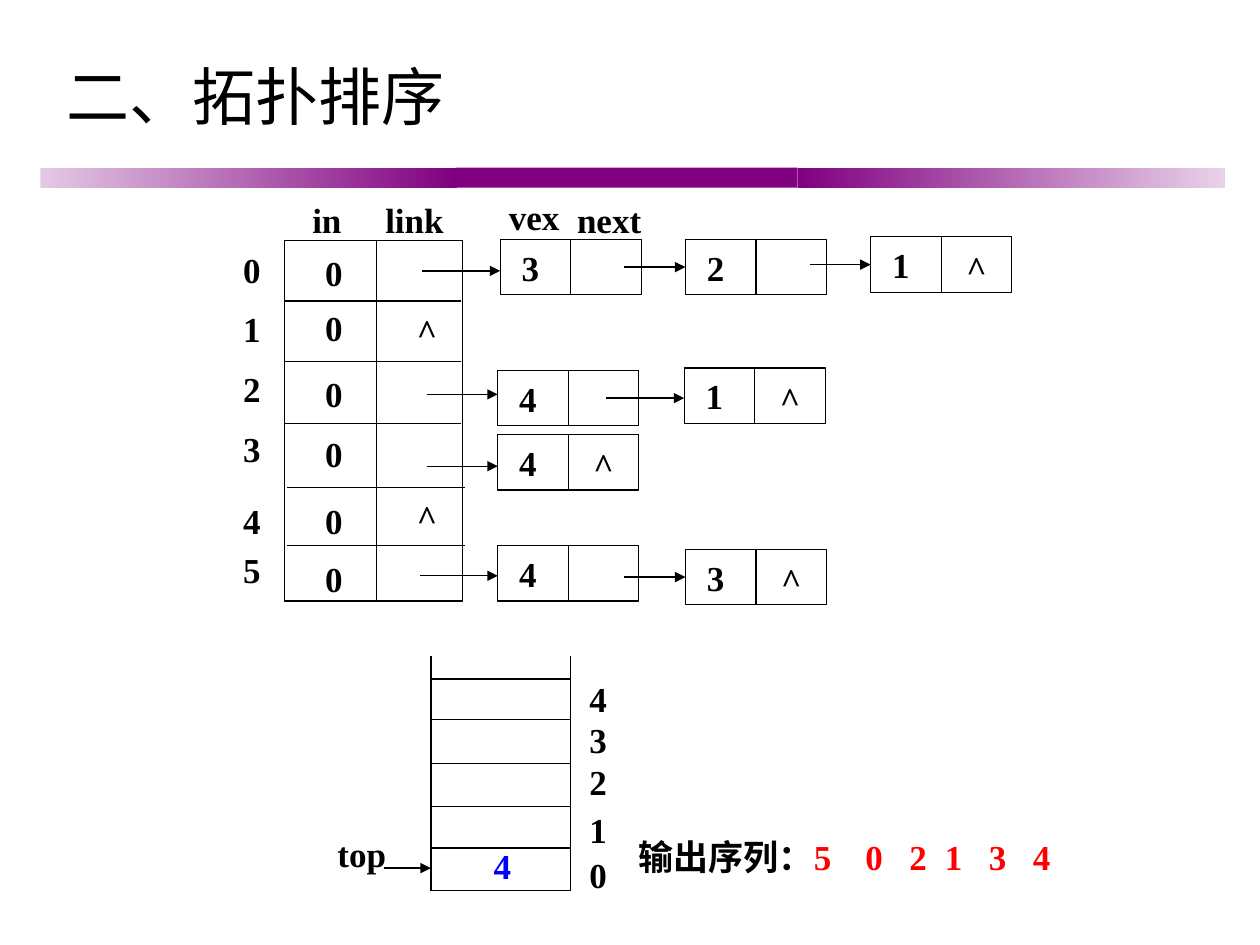
from lxml.etree import SubElement
from pptx import Presentation
from pptx.dml.color import RGBColor
from pptx.enum.shapes import MSO_CONNECTOR, MSO_SHAPE
from pptx.enum.text import MSO_ANCHOR, PP_ALIGN
from pptx.oxml.ns import qn
from pptx.util import Inches, Pt

BLACK = RGBColor(0, 0, 0)
RED = RGBColor(0xFF, 0, 0)
BLUE = RGBColor(0, 0, 0xFF)
PURPLE = RGBColor(0x80, 0, 0x80)
PALE_LEFT = RGBColor(0xE4, 0xC9, 0xE4)
PALE_RIGHT = RGBColor(0xE9, 0xD2, 0xE9)
LATIN, CJK = "Times New Roman", "Noto Sans CJK JP"

TITLE = "二、拓扑排序"
BANDS = [(0.32, 3.31, (PALE_LEFT, PURPLE)), (3.62, 2.71, (PURPLE,)),
         (6.33, 3.39, (PURPLE, PALE_RIGHT))]  # left, width, colours

# text, left, top, width
HEADINGS = [("in", 2.36, 1.52, 0.47), ("link", 2.92, 1.52, 0.74),
            ("vex", 3.91, 1.5, 0.66), ("next", 4.45, 1.52, 0.77)]

# vertex index top, in-degree, in-degree top, top of the null mark
VERTICES = [(1.92, "0", 1.94, None), (2.39, "0", 2.38, 2.4), (2.86, "0", 2.9, None),
            (3.34, "0", 3.38, None), (3.91, "0", 3.91, 3.88), (4.3, "0", 4.37, None)]
INDEX_LEFT, DEGREE_LEFT, NULL_LEFT = 1.83, 2.48, 3.21
ARRAY_LEFT, ARRAY_TOP, ARRAY_W, ARRAY_H = 2.26, 1.91, 1.41, 2.86
LINK_X = 2.99
ROW_RULES = [(2.25, 2.39), (2.25, 2.87), (2.25, 3.36), (2.28, 3.87), (2.28, 4.33)]

# vex, left, top, arrow start x, arrow y; the last node of a list has no next
LISTS = [
    [("3", 3.97, 1.9, 3.35, 2.15), ("2", 5.44, 1.9, 4.95, 2.12), ("1", 6.91, 1.88, 6.43, 2.1)],
    [("4", 3.95, 2.94, 3.39, 3.13), ("1", 5.43, 2.92, 4.81, 3.16)],
    [("4", 3.95, 3.45, 3.39, 3.7)],
    [("4", 3.95, 4.33, 3.33, 4.57), ("3", 5.44, 4.36, 4.95, 4.58)],
]
NODE_W, LINE_H = 1.12, 0.44

STACK_LEFT, STACK_RIGHT, STACK_TOP, STACK_BOTTOM = 3.42, 4.53, 5.21, 7.07
STACK_RULES = [5.39, 5.71, 6.06, 6.4, 6.73, STACK_BOTTOM]
STACK_LABELS = [("4", 5.32), ("3", 5.65), ("2", 5.98), ("1", 6.36), ("0", 6.72)]

OUTPUT_LABEL, OUTPUT_ORDER = "输出序列：", ["5", "0", "2", "1", "3", "4"]
OUTPUT_TABS = [1.8, 2.15, 2.43, 2.78, 3.13]

prs = Presentation()
prs.slide_width, prs.slide_height = Inches(10), Inches(7.5)
slide = prs.slides.add_slide(prs.slide_layouts[6])
shapes = slide.shapes


def style(paragraph, size=20, bold=True, latin=LATIN, color=BLACK):
    font = paragraph.font
    font.size, font.bold, font.name = Pt(size), bold, latin
    font.color.rgb = color
    SubElement(font._element, qn("a:ea"), typeface=CJK)


def add_label(text, left, top, width=0.36, height=LINE_H, wrap=False,
              align=PP_ALIGN.LEFT, **font):
    frame = shapes.add_textbox(*map(Inches, (left, top, width, height))).text_frame
    frame.word_wrap = wrap
    frame.vertical_anchor = MSO_ANCHOR.MIDDLE
    frame.text = text
    paragraph = frame.paragraphs[0]
    paragraph.alignment = align
    style(paragraph, **font)


def add_centred(text, left, top, width=0.34):
    add_label(text, left, top, width, align=PP_ALIGN.CENTER)


def add_line(x1, y1, x2, y2, arrow=False):
    line = shapes.add_connector(MSO_CONNECTOR.STRAIGHT, *map(Inches, (x1, y1, x2, y2)))
    line.line.color.rgb, line.line.width = BLACK, Pt(0.75)
    if arrow:
        SubElement(line.line._get_or_add_ln(), qn("a:tailEnd"), type="triangle")
    SubElement(line._element.spPr, qn("a:effectLst"))


def add_box(left, top, width, height):
    """Outlined rectangle without a fill."""
    box = shapes.add_shape(MSO_SHAPE.RECTANGLE, *map(Inches, (left, top, width, height)))
    box.shadow.inherit = False
    box.fill.background()
    box.line.color.rgb, box.line.width = BLACK, Pt(0.75)
    return box


def add_node(vex, left, top, arrow_x, arrow_y, is_last):
    frame = add_box(left, top, NODE_W, LINE_H).text_frame
    frame.margin_left = Inches(0.17)
    frame.vertical_anchor = MSO_ANCHOR.MIDDLE
    frame.text = vex
    frame.paragraphs[0].alignment = PP_ALIGN.LEFT
    style(frame.paragraphs[0])
    middle = left + NODE_W / 2
    add_line(middle, top, middle, top + LINE_H)
    add_line(arrow_x, arrow_y, left, arrow_y, arrow=True)
    if is_last:
        add_centred("^", left + 0.66, top + 0.02, 0.36)


def add_bands():
    for left, width, colors in BANDS:
        band = add_box(left, 1.33, width, 0.16)
        band.line.fill.background()
        if len(colors) == 1:
            band.fill.solid()
            band.fill.fore_color.rgb = colors[0]
            continue
        band.fill.gradient()
        band.fill.gradient_angle = 0
        for stop, color in zip(band.fill.gradient_stops, colors):
            stop.color.rgb = color


def add_adjacency_lists():
    add_box(ARRAY_LEFT, ARRAY_TOP, ARRAY_W, ARRAY_H)
    for left, y in ROW_RULES:
        add_line(left, y, left + ARRAY_W, y)
    add_line(LINK_X, ARRAY_TOP, LINK_X, ARRAY_TOP + ARRAY_H)
    for heading in HEADINGS:
        add_centred(*heading)
    for index, (index_top, degree, degree_top, null_top) in enumerate(VERTICES):
        add_centred(str(index), INDEX_LEFT, index_top)
        add_centred(degree, DEGREE_LEFT, degree_top)
        if null_top:
            add_centred("^", NULL_LEFT, null_top, 0.36)
    for nodes in LISTS:
        for node in nodes:
            add_node(*node, is_last=node is nodes[-1])


def add_stack():
    for x in (STACK_LEFT, STACK_RIGHT):
        add_line(x, STACK_TOP, x, STACK_BOTTOM)
    for y in STACK_RULES:
        add_line(STACK_LEFT, y, STACK_RIGHT, y)
    for text, top in STACK_LABELS:
        add_label(text, 4.58, top)
    add_label("4", 3.82, 6.65, color=BLUE)
    add_label("top", 2.58, 6.55, 0.7, wrap=True)
    add_line(3.05, 6.89, STACK_LEFT, 6.89, arrow=True)


def add_output():
    frame = shapes.add_textbox(*map(Inches, (4.97, 6.58, 3.7, LINE_H))).text_frame
    frame.word_wrap = True
    paragraph = frame.paragraphs[0]
    tabs = SubElement(paragraph._p.get_or_add_pPr(), qn("a:tabLst"))
    for position in OUTPUT_TABS:
        SubElement(tabs, qn("a:tab"), pos=str(Inches(position)), algn="l")
    style(paragraph)
    paragraph.add_run().text = OUTPUT_LABEL
    order = paragraph.add_run()
    order.text = "\t".join(OUTPUT_ORDER)
    order.font.color.rgb = RED


add_bands()
add_adjacency_lists()
add_stack()
add_output()
add_label(TITLE, 0.43, 0.36, 9.06, 0.8, wrap=True, size=36, bold=False, latin=CJK)
prs.save("out.pptx")
